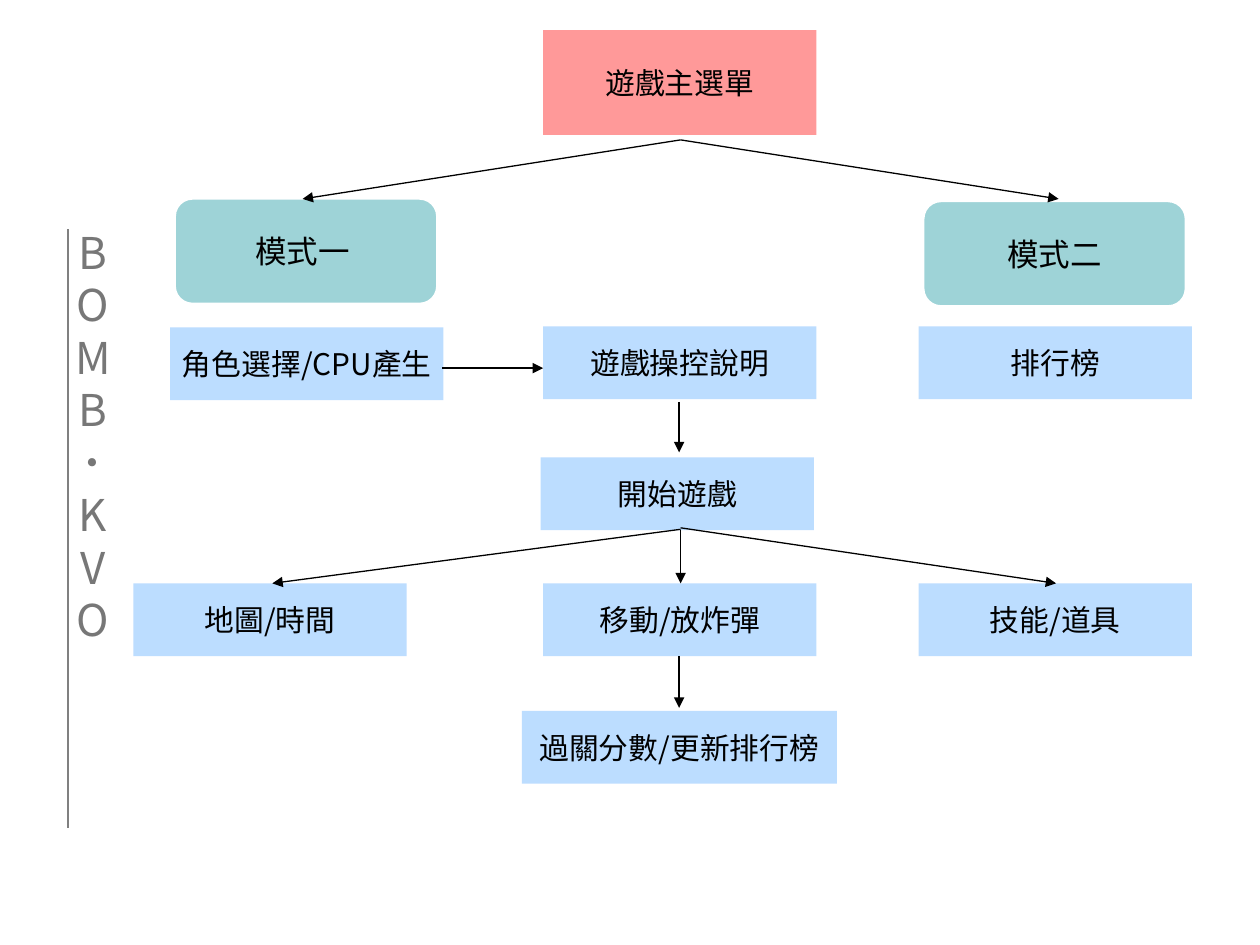
"""Build a slide with the flow chart of a game menu."""
import dataclasses

import lxml.etree
import pptx
import pptx.dml.color
import pptx.enum.shapes
import pptx.enum.text
import pptx.oxml.ns
import pptx.util

Cm = pptx.util.Cm
Pt = pptx.util.Pt
RGB = pptx.dml.color.RGBColor.from_string
Kind = pptx.enum.shapes.MSO_SHAPE
Text = pptx.enum.text


@dataclasses.dataclass
class Theme:
    font: str = "Noto Sans CJK SC"
    ink: str = "000000"
    menu: str = "FF0000"
    mode: str = "9ED3D7"
    step: str = "99CCFF"
    edge: str = "FFFFFF"
    title: str = "777777"
    rule: str = "808080"
    small: float = 17
    large: float = 18
    head: float = 25
    thin: float = 0.75


theme = Theme()


def add_tag(parent, name, **attrs):
    return lxml.etree.SubElement(parent, pptx.oxml.ns.qn(name), **attrs)


def add_run(para, words, size, color):
    para.alignment = Text.PP_ALIGN.CENTER
    run = para.add_run()
    run.text = words
    run.font.name = theme.font
    run.font.size = Pt(size)
    run.font.color.rgb = RGB(color)
    add_tag(run.font._element, "a:ea", typeface=theme.font)


deck = pptx.Presentation()
deck.slide_width = Cm(25.4)
deck.slide_height = Cm(19.05)
slide = deck.slides.add_slide(deck.slide_layouts[5])

title = slide.shapes.title
title.left, title.top = Cm(1.17), Cm(4.42)
title.width, title.height = Cm(1.4), Cm(8.71)
frame = title.text_frame
frame.auto_size = Text.MSO_AUTO_SIZE.NONE
frame.word_wrap = False
frame.vertical_anchor = Text.MSO_ANCHOR.TOP
for index, letter in enumerate("BOMB˙KVO"):
    para = frame.add_paragraph() if index else frame.paragraphs[0]
    para.line_spacing = Pt(30)
    para.space_before = Pt(0)
    add_run(para, letter, theme.head, theme.title)

wide, low, tall = 5.51, 1.47, 2.11
mid, right = 10.95, 18.52
boxes = [
    ("遊戲主選單", mid, 0.61, wide, tall, theme.menu, 40),
    ("模式一 ", 3.53, 4.01, 5.28, tall, theme.mode, 100),
    ("模式二", 18.62, 4.06, 5.28, tall, theme.mode, 100),
    ("開始遊戲", 10.9, 9.22, wide, low, theme.step, 65),
    ("遊戲操控說明", mid, 6.58, wide, low, theme.step, 65),
    ("排行榜", right, 6.58, wide, low, theme.step, 65),
    ("地圖/時間", 2.69, 11.76, wide, low, theme.step, 65),
    ("角色選擇/CPU產生", 3.43, 6.6, wide, low, theme.step, 65),
    ("移動/放炸彈", mid, 11.76, wide, low, theme.step, 65),
    ("技能/道具", right, 11.76, wide, low, theme.step, 65),
    ("過關分數/更新排行榜", 10.52, 14.33, 6.35, low, theme.step, 65),
]
for words, left, top, width, height, color, alpha in boxes:
    mode = color == theme.mode
    kind = Kind.ROUNDED_RECTANGLE if mode else Kind.RECTANGLE
    box = slide.shapes.add_shape(kind, Cm(left), Cm(top), Cm(width), Cm(height))
    box.shadow.inherit = False
    box.fill.solid()
    box.fill.fore_color.rgb = RGB(color)
    if mode:
        box.line.color.rgb = RGB(theme.edge)
        box.line.width = Pt(1)
    else:
        box.line.fill.background()
        tint = box._element.spPr.find(".//" + pptx.oxml.ns.qn("a:srgbClr"))
        add_tag(tint, "a:alpha", val=str(alpha * 1000))
    frame = box.text_frame
    frame.word_wrap = mode
    frame.vertical_anchor = Text.MSO_ANCHOR.MIDDLE
    size = theme.large if mode else theme.small
    add_run(frame.paragraphs[0], words, size, theme.ink)

axis = 13.72
lines = [
    (axis, 2.82, 6.1, 4.01, True),
    (axis, 2.82, 21.34, 4.01, True),
    (13.69, 8.1, 13.69, 9.12, True),
    (axis, 10.69, axis, 11.76, True),
    (axis, 10.67, 5.49, 11.76, True),
    (axis, 10.64, 21.29, 11.76, True),
    (13.69, 13.23, 13.69, 14.27, True),
    (1.37, 4.62, 1.37, 16.69, False),
    (8.92, 7.42, mid, 7.42, True),
]
for *ends, arrow in lines:
    line = slide.shapes.add_connector(
        pptx.enum.shapes.MSO_CONNECTOR.STRAIGHT, *map(Cm, ends))
    line.line.color.rgb = RGB(theme.ink if arrow else theme.rule)
    line.line.width = Pt(theme.thin)
    if arrow:
        add_tag(line.line._get_or_add_ln(), "a:tailEnd", type="triangle")
    add_tag(line._element.spPr, "a:effectLst")

deck.save("out.pptx")
